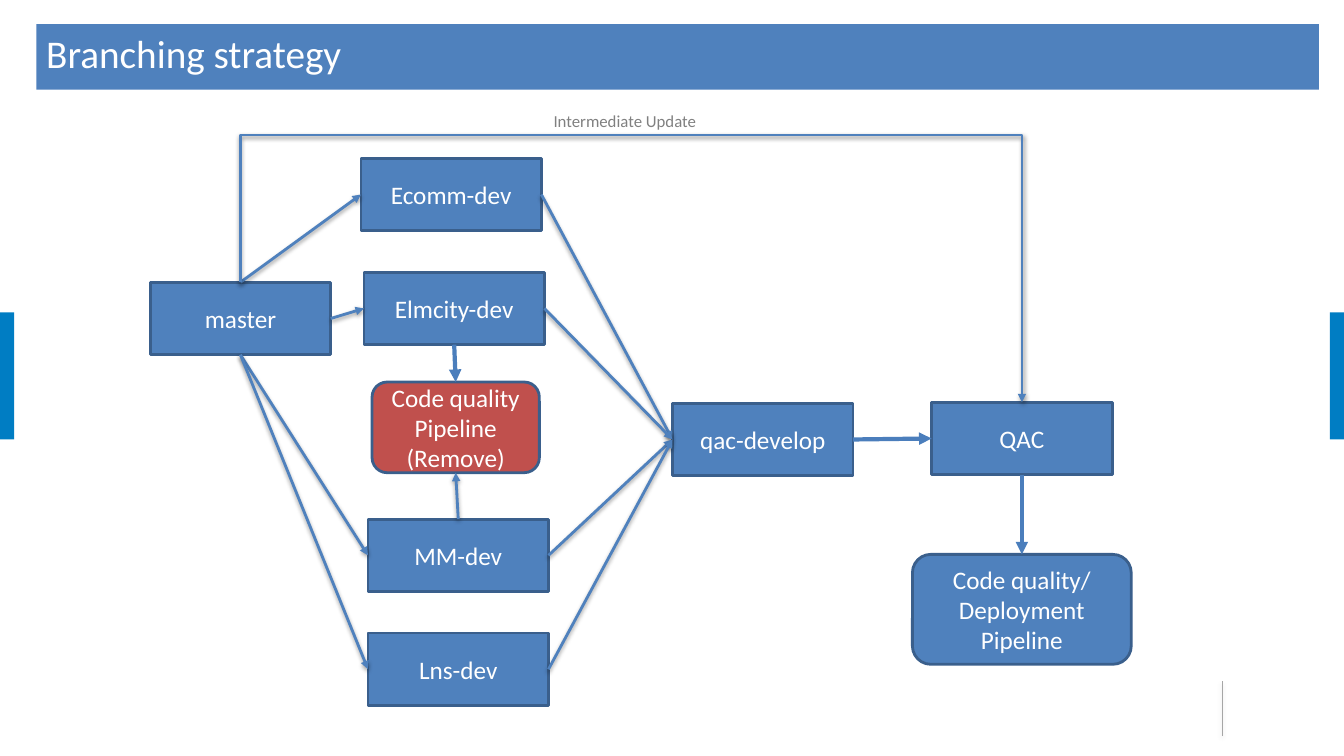
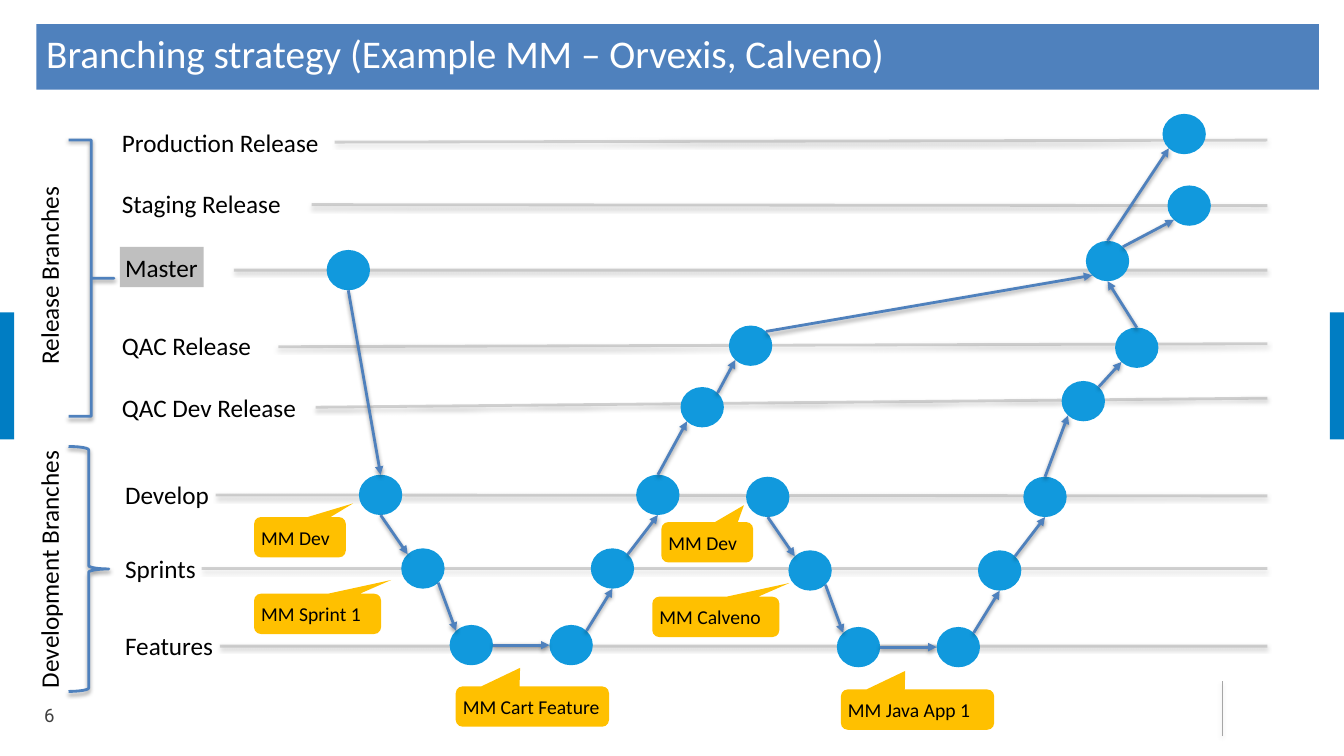
from dataclasses import dataclass
from math import sqrt

from lxml import etree
from pptx import Presentation
from pptx.dml.color import RGBColor
from pptx.enum.shapes import MSO_CONNECTOR as CONN, MSO_SHAPE as SHAPE
from pptx.enum.text import MSO_ANCHOR as ANCHOR, PP_ALIGN as ALIGN
from pptx.oxml.ns import qn
from pptx.util import Inches, Pt

# Shared look
W, H = 13.33, 7.5
FONT = "Calibri"
C = {
    "blue": "4F81BD", "border": "3A5F8C", "strong": "4B7EBC", "red": "C0504D",
    "tab": "007DC3", "node": "1199DD", "callout": "FFC000", "lane": "A7A7A7",
    "silver": "BFBFBF", "tick": "A6A6A6", "white": "FFFFFF", "black": "000000",
    "gray": "808080", "dark": "404040",
}
TOP, LEFT, BOTTOM, RIGHT = range(4)


@dataclass
class Box:
    """A region of the slide, in inches, divided into columns and rows."""
    left: float
    top: float
    width: float
    height: float
    cols: float
    rows: float

    def w(self, n):
        return Inches(n * self.width / self.cols)

    def h(self, n):
        return Inches(n * self.height / self.rows)

    def point(self, col, row):
        return Inches(self.left) + self.w(col), Inches(self.top) + self.h(row)

    def rect(self, col, row, cols, rows):
        return *self.point(col, row), self.w(cols), self.h(rows)


# Helpers
def rgb(name):
    return RGBColor.from_string(C[name])


def write(sp, text, size=18, color="black", font=FONT, align=ALIGN.LEFT,
          anchor=ANCHOR.TOP, inset=0.05, wrap=True):
    tf = sp.text_frame
    tf.word_wrap = wrap
    tf.vertical_anchor = anchor
    tf.margin_left = tf.margin_right = Inches(inset)
    tf.margin_top = tf.margin_bottom = Inches(0.05)
    p = tf.paragraphs[0]
    p.alignment = align
    r = p.add_run()
    r.text = text
    r.font.size, r.font.name = Pt(size), font
    r.font.color.rgb = rgb(color)


def label(slide, rect, text, rotation=0, **fmt):
    sp = slide.shapes.add_textbox(*rect)
    sp.rotation = rotation
    write(sp, text, **fmt)
    return sp


def add_shadow(spPr):
    effects = spPr.find(qn("a:effectLst"))
    if effects is None:
        effects = etree.SubElement(spPr, qn("a:effectLst"))
    shadow = etree.SubElement(effects, qn("a:outerShdw"), blurRad="38100",
                              dist="20000", dir="5400000", rotWithShape="0")
    color = etree.SubElement(shadow, qn("a:srgbClr"), val=C["black"])
    etree.SubElement(color, qn("a:alpha"), val="38000")


def shape(slide, kind, rect, fill=None, line=None, adj=(), shadow=False):
    sp = slide.shapes.add_shape(kind, *rect)
    sp.shadow.inherit = False
    if fill:
        sp.fill.solid()
        sp.fill.fore_color.rgb = rgb(fill)
    else:
        sp.fill.background()
    if line:
        sp.line.color.rgb = rgb(line)
        sp.line.width = Pt(2)
    else:
        sp.line.fill.background()
    for i, value in enumerate(adj):
        sp.adjustments[i] = value
    if shadow:
        add_shadow(sp._element.spPr)
    return sp


def line(slide, start, end, color="blue", width=2, arrow=True, alpha=None,
         shadow=True, kind=CONN.STRAIGHT):
    c = slide.shapes.add_connector(kind, *start, *end)
    c.line.color.rgb = rgb(color)
    c.line.width = Pt(width)
    spPr = c._element.spPr
    ln = spPr.find(qn("a:ln"))
    if alpha:
        etree.SubElement(ln.find(".//" + qn("a:srgbClr")), qn("a:alpha"),
                         val=str(alpha * 1000))
    if arrow:
        etree.SubElement(ln, qn("a:tailEnd"), type="triangle")
    if shadow:
        add_shadow(spPr)
    else:
        etree.SubElement(spPr, qn("a:effectLst"))
    return c


# Title band, side tabs and footer tick
def frame(slide, box, title, number=None):
    for col in (0, box.cols - 1.4):
        shape(slide, SHAPE.RECTANGLE, box.rect(col, 31, 1.4, 12.6), "tab")
    line(slide, box.point(121.2, 67.6), box.point(121.2, 73), "tick", 0.25,
         arrow=False)
    band = shape(slide, SHAPE.RECTANGLE, box.rect(3.6, 2.4, 127.2, 6.5), "blue")
    write(band, title, size=28, color="white", inset=0.1)
    if number:
        label(slide, box.rect(3.4, 69.3, 6.8, 4.1), number, size=13.3,
              color="dark", font="Roboto", inset=0.1)


# Flow of branches into QAC
def branch_flow(slide, box):
    branches = {
        "master": (0.9, 18), "Ecomm-dev": (21.8, 5.7),
        "Elmcity-dev": (22.1, 17), "MM-dev": (22.5, 41.5),
        "Lns-dev": (22.5, 52.8), "qac-develop": (52.7, 30), "QAC": (78.4, 29.9),
    }
    check, deploy = ("Code quality Pipeline (Remove)",
                     "Code quality/ Deployment Pipeline")
    steps = [(name, SHAPE.RECTANGLE, (*at, 17.9, 7.2), "blue")
             for name, at in branches.items()]
    steps += [(check, SHAPE.ROUNDED_RECTANGLE, (22.9, 27.9, 16.6, 9), "red"),
              (deploy, SHAPE.ROUNDED_RECTANGLE, (76.5, 45, 21.7, 10.9), "blue")]
    nodes = {}
    for name, kind, cells, fill in steps:
        nodes[name] = shape(slide, kind, box.rect(*cells), fill, "border")
        write(nodes[name], name, color="white", align=ALIGN.CENTER,
              anchor=ANCHOR.MIDDLE, inset=0.1)

    def join(a, a_side, b, b_side, **fmt):
        c = line(slide, (0, 0), (0, 0), **fmt)
        c.begin_connect(nodes[a], a_side)
        c.end_connect(nodes[b], b_side)
        return c

    strong = dict(color="strong", width=3, shadow=False)
    join("QAC", BOTTOM, deploy, TOP, **strong)
    join("qac-develop", RIGHT, "QAC", LEFT, **strong)
    join("Elmcity-dev", BOTTOM, check, TOP, **strong)
    join("MM-dev", TOP, check, BOTTOM)
    for name, side in (("Ecomm-dev", TOP), ("Elmcity-dev", RIGHT),
                       ("MM-dev", BOTTOM), ("Lns-dev", BOTTOM)):
        join("master", side, name, LEFT)
        join(name, RIGHT, "qac-develop", LEFT)

    # Intermediate update: up from master, across, down to QAC
    c = join("master", TOP, "QAC", TOP, kind=CONN.ELBOW)
    left, top, span, drop = c.left, c.top, c.width, c.height
    c.left, c.top = left + (span - drop) // 2, top + (drop - span) // 2
    c.width, c.height = drop, span
    xfrm = c._element.spPr.find(qn("a:xfrm"))
    xfrm.set("rot", "16200000")
    xfrm.set("flipH", "1")
    guides = c._element.spPr.find(qn("a:prstGeom")).get_or_add_avLst()
    etree.SubElement(guides, qn("a:gd"), name="adj1", fmla="val -122700")
    label(slide, box.rect(40.4, 0.5, 15.4, 3), "Intermediate Update", size=12,
          color="gray", wrap=False)


# Named lanes with the braces that group them
def lanes(slide, box):
    rows = [  # name, label column and row, line start, line rows
        ("Production Release", 11.6, 2.1, 33.2, 4.1, 3.9),
        ("Staging Release", 11.6, 8.2, 30.9, 10.3, 10.4),
        ("Master", 11.9, 14.5, 23.2, 16.8, 16.8),
        ("QAC Release", 11.6, 22.3, 27.6, 24.4, 24.1),
        ("QAC Dev Release", 11.6, 28.4, 31.3, 30.4, 29.5),
        ("Develop", 11.9, 37.1, 21.4, 39.1, 39.2),
        ("Sprints", 11.9, 44.4, 20, 46.4, 46.4),
        ("Features", 11.9, 52, 21.8, 54.1, 54.1),
    ]
    for name, col, row, start, row1, row2 in rows:
        width = 8.3 if name == "Master" else start - col
        sp = label(slide, box.rect(col, row, width, 4), name, wrap=False)
        if name == "Master":
            sp.fill.solid()
            sp.fill.fore_color.rgb = rgb("silver")
        line(slide, box.point(start, row1), box.point(125.7, row2), "lane",
             arrow=False, alpha=50)
    groups = [
        ("Release Branches", (-5.4, 14.4, 20.5, 4), (6.8, 3.9, 4.5, 27.4), (0, 0.5)),
        ("Development Branches", (-7.7, 44.2, 25.1, 4), (6.8, 34.3, 4, 24.3), ()),
    ]
    for name, text_cells, brace_cells, adj in groups:
        label(slide, box.rect(*text_cells), name, rotation=270)
        shape(slide, SHAPE.RIGHT_BRACE, box.rect(*brace_cells), line="blue",
              adj=adj, shadow=True)


# Commits and the arrows between them
def commits(slide, box):
    node_w, node_h = 4.3, 4
    cycle = [(0, 0), (4.2, 7.3), (9, 14.9), (18.9, 14.9), (23, 7.3), (27.5, 0)]
    cycle_edges = [(0, "s", 1, "nw"), (1, "se", 2, "nw"), (2, "e", 3, "w"),
                   (3, "ne", 4, "s"), (4, "ne", 5, "s")]
    nodes = {
        "start": (32.4, 14.8), "dev1": (67.5, 28.4), "qac1": (72.3, 22.3),
        "dev2": (105.3, 27.8), "qac2": (110.6, 22.5), "master": (107.7, 13.9),
        "staging": (115.8, 8.4), "production": (115.3, 1.3),
    }
    edges = [
        ("start", "s", (1, 0), "n"), ((1, 5), "n", "dev1", "sw"),
        ("dev1", "ne", "qac1", "sw"), ("qac1", "ne", "master", "sw"),
        ((2, 5), "n", "dev2", "sw"), ("dev2", "ne", "qac2", "sw"),
        ("qac2", "n", "master", "s"), ("master", "ne", "staging", "sw"),
        ("master", "n", "production", "sw"),
    ]
    for n, (col, row) in ((1, (35.6, 37.1)), (2, (74, 37.3))):
        nodes.update({(n, i): (col + dc, row + dr)
                      for i, (dc, dr) in enumerate(cycle)})
        edges += [((n, a), sa, (n, b), sb) for a, sa, b, sb in cycle_edges]

    def rim(name, side):
        col, row = nodes[name]
        dx = ("e" in side) - ("w" in side)
        dy = ("s" in side) - ("n" in side)
        reach = sqrt(dx * dx + dy * dy)
        return box.point(col + node_w / 2 * (1 + dx / reach),
                         row + node_h / 2 * (1 + dy / reach))

    for at in nodes.values():
        shape(slide, SHAPE.OVAL, box.rect(*at, node_w, node_h), "node")
    for a, a_side, b, b_side in edges:
        line(slide, rim(a, a_side), rim(b, b_side))


# Notes pointing at commits
def callouts(slide, box):
    side, above = (0.58, -0.84), (-0.08, -0.96)
    notes = [
        ("MM Dev", 25.2, 41.3, 9.1, side),
        ("MM Sprint 1", 25.2, 48.9, 12.6, side),
        ("MM Cart Feature", 45.2, 58.1, 15.2, above),
        ("MM Dev", 65.6, 41.8, 9.1, (0.4, -0.92)),
        ("MM Calveno", 64.7, 49.2, 12.6, side),
        ("MM Java App 1", 83.4, 58.4, 15.2, above),
    ]
    for text, col, row, width, tip in notes:
        sp = shape(slide, SHAPE.ROUNDED_RECTANGULAR_CALLOUT,
                   box.rect(col, row, width, 4), "callout", adj=(*tip, 0.17))
        write(sp, text, size=14, anchor=ANCHOR.MIDDLE)


def main():
    prs = Presentation()
    prs.slide_width, prs.slide_height = Inches(W), Inches(H)
    blank = prs.slide_layouts[6]
    page = Box(0, 0, W, H, 133.3, 75)

    s = prs.slides.add_slide(blank)
    frame(s, page, "Branching strategy")
    branch_flow(s, Box(1.4, 1, 10, 6, 100, 60))

    s = prs.slides.add_slide(blank)
    frame(s, page, "Branching strategy (Example MM – Orvexis, Calveno)", "6")
    body = Box(0, 1, W, 6.5, 133.3, 65)
    for part in (lanes, commits, callouts):
        part(s, body)

    prs.save("out.pptx")


if __name__ == "__main__":
    main()
